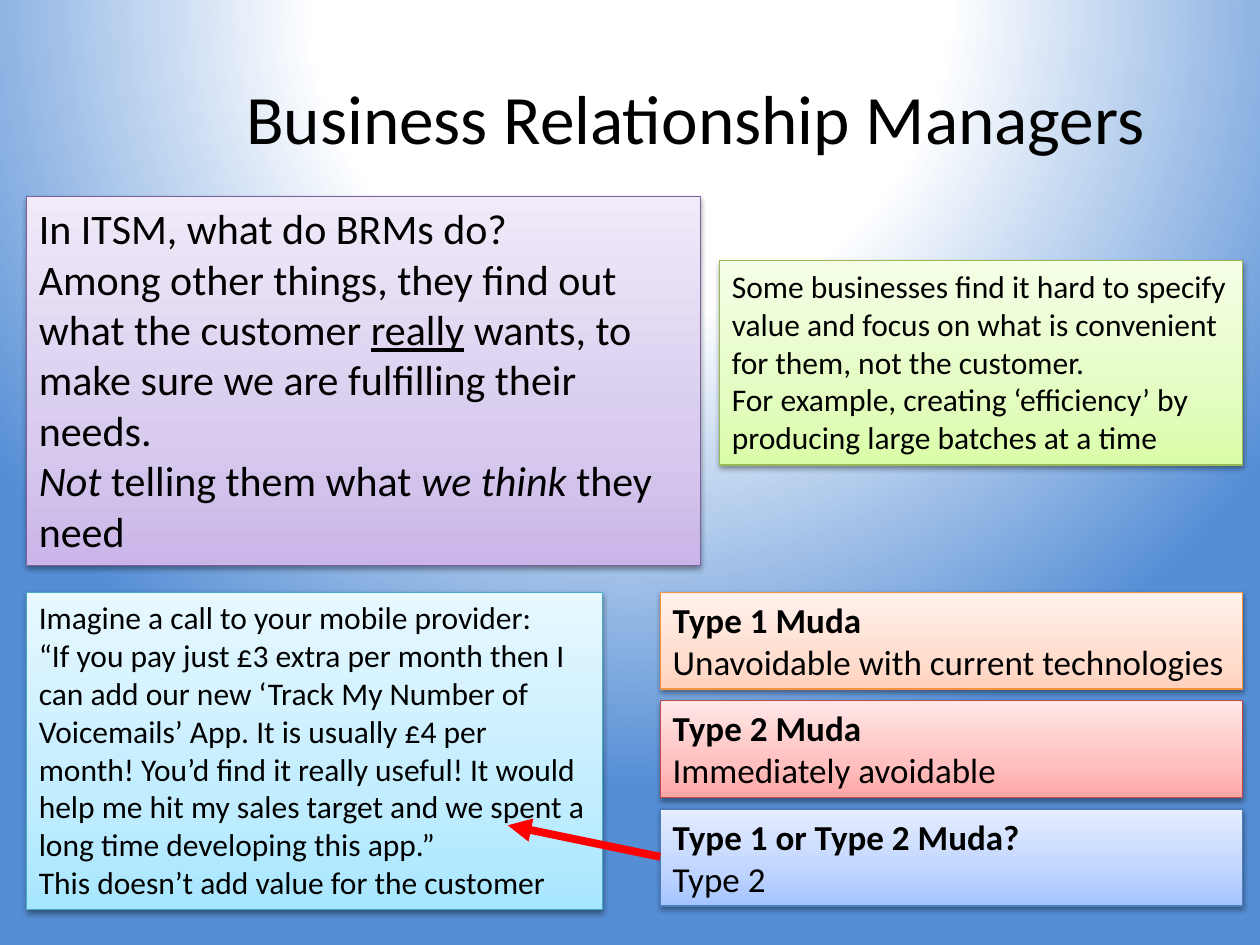
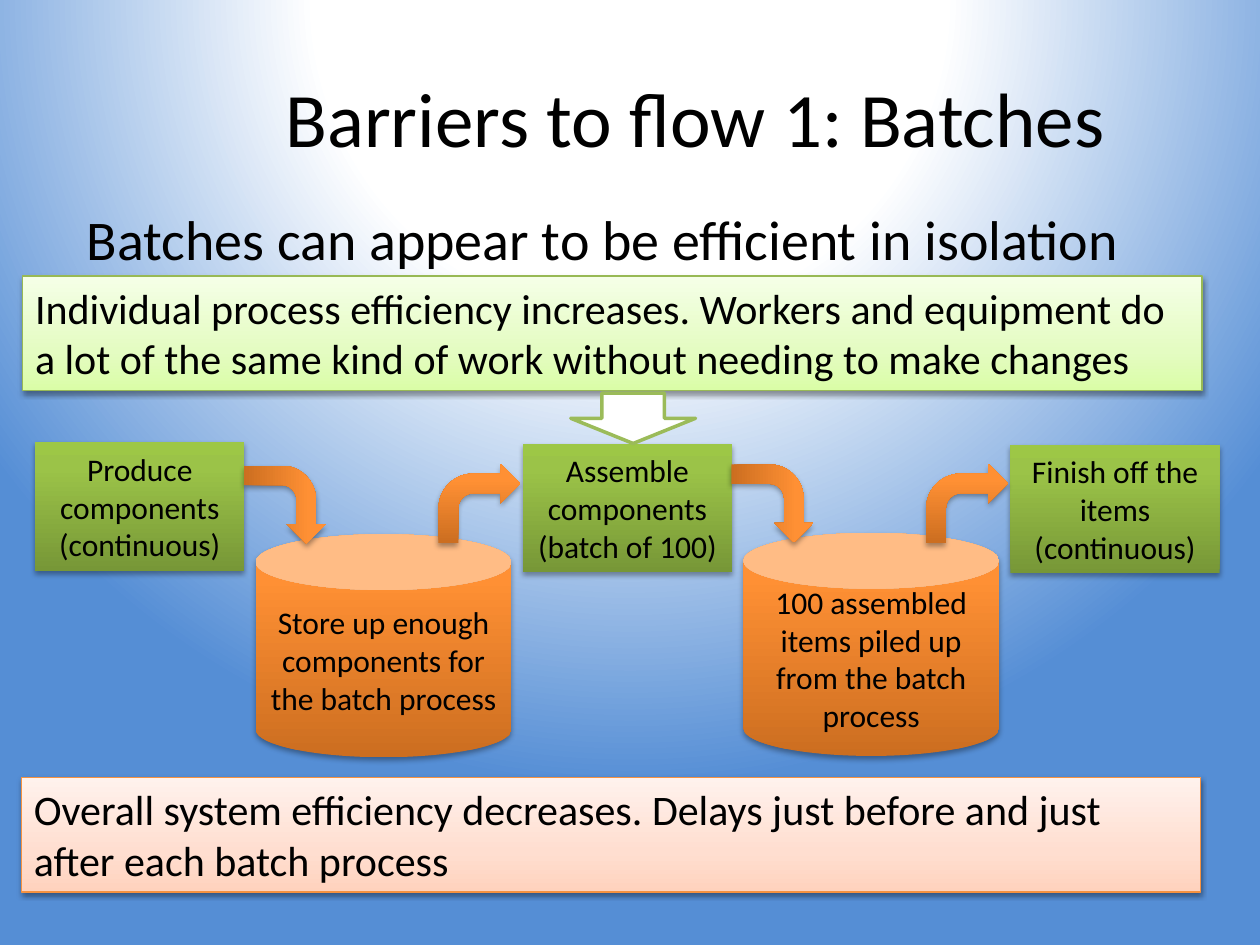
from collections import namedtuple

from lxml import etree
from pptx import Presentation
from pptx.dml.color import RGBColor
from pptx.enum.shapes import MSO_CONNECTOR, MSO_SHAPE
from pptx.enum.text import MSO_ANCHOR, MSO_AUTO_SIZE, PP_ALIGN
from pptx.oxml.ns import qn
from pptx.util import Inches, Pt

RECTANGLE = MSO_SHAPE.RECTANGLE
CAN = MSO_SHAPE.CAN
BENT_ARROW = MSO_SHAPE.BENT_ARROW
DOWN_ARROW = MSO_SHAPE.DOWN_ARROW
STRAIGHT = MSO_CONNECTOR.STRAIGHT
LEFT, CENTER = PP_ALIGN.LEFT, PP_ALIGN.CENTER
TOP, MIDDLE = MSO_ANCHOR.TOP, MSO_ANCHOR.MIDDLE
GROW = MSO_AUTO_SIZE.SHAPE_TO_FIT_TEXT

FONT = "Calibri"
SLIDE_W, SLIDE_H = Inches(10), Inches(7.5)
GRID_COLUMNS = 100
CELL = SLIDE_W / GRID_COLUMNS
TITLE_LAYOUT, LIST_LAYOUT = 5, 1
TITLE_BOX = (15.4, 3, 79.6, 12.5)

BLACK = RGBColor(0x00, 0x00, 0x00)
WHITE = RGBColor(0xFF, 0xFF, 0xFF)
SKY = RGBColor(0x55, 0x8E, 0xD5)
RED = RGBColor(0xFF, 0x00, 0x00)
LEAF = RGBColor(0x9B, 0xBB, 0x59)

Finish = namedtuple("Finish", "colors middle_stop outline shadow")
PANEL_SHADOW = (38, 3.15, 1.57)
SOLID_SHADOW = (35, 3.15, 1.81)


def panel_finish(low, middle, high, outline):
    return Finish((low, middle, high), 35, outline, PANEL_SHADOW)


def solid_finish(low, middle, high):
    return Finish((low, middle, high), 80, None, SOLID_SHADOW)


PURPLE_PANEL = panel_finish(RGBColor(0xC9, 0xB5, 0xE8), RGBColor(0xD8, 0xCB, 0xEE),
                            RGBColor(0xF0, 0xEA, 0xF9), RGBColor(0x7D, 0x60, 0xA0))
AQUA_PANEL = panel_finish(RGBColor(0xA7, 0xE6, 0xFF), RGBColor(0xC1, 0xED, 0xFF),
                          RGBColor(0xE7, 0xF8, 0xFF), RGBColor(0x46, 0xAA, 0xC5))
ORANGE_PANEL = panel_finish(RGBColor(0xFF, 0xD2, 0xBD), RGBColor(0xFF, 0xDE, 0xD0),
                            RGBColor(0xFF, 0xF2, 0xED), RGBColor(0xF6, 0x92, 0x40))
RED_PANEL = panel_finish(RGBColor(0xFF, 0xA6, 0xA5), RGBColor(0xFF, 0xC0, 0xBF),
                         RGBColor(0xFF, 0xE7, 0xE7), RGBColor(0xBF, 0x4C, 0x48))
BLUE_PANEL = panel_finish(RGBColor(0xA4, 0xC4, 0xFF), RGBColor(0xBF, 0xD4, 0xFF),
                          RGBColor(0xE6, 0xEE, 0xFF), RGBColor(0x4B, 0x7E, 0xBC))
GREEN_PANEL = panel_finish(RGBColor(0xDA, 0xFD, 0xA7), RGBColor(0xE4, 0xFC, 0xC2),
                           RGBColor(0xF5, 0xFF, 0xE7), RGBColor(0x98, 0xB9, 0x55))
GREEN_SOLID = solid_finish(RGBColor(0x77, 0x97, 0x37), RGBColor(0x9B, 0xC3, 0x48),
                           RGBColor(0x9D, 0xC7, 0x46))
ORANGE_SOLID = solid_finish(RGBColor(0xCC, 0x6E, 0x20), RGBColor(0xFF, 0x90, 0x34),
                            RGBColor(0xFF, 0x91, 0x36))


def cells(*lengths):
    return [round(length * CELL) for length in lengths]


def add_node(parent, tag, **attributes):
    values = {name: str(value) for name, value in attributes.items()}
    return etree.SubElement(parent, qn(tag), values)


def add_color(parent, color, opacity=100):
    node = add_node(parent, "a:srgbClr", val=color)
    if opacity < 100:
        add_node(node, "a:alpha", val=opacity * 1000)


def set_stops(gradient, stops):
    for child in list(gradient):
        gradient.remove(child)
    stop_list = add_node(gradient, "a:gsLst")
    for position, color, opacity in stops:
        add_color(add_node(stop_list, "a:gs", pos=position * 1000), color, opacity)


def style_master(master):
    master.background.fill.gradient()
    glow = master.element.find(".//" + qn("p:bgPr")).find(qn("a:gradFill"))
    set_stops(glow, [(0, WHITE, 100), (40, WHITE, 57), (100, SKY, 56)])
    circle = add_node(glow, "a:path", path="circle")
    add_node(circle, "a:fillToRect", l=50000, t=-80000, r=50000, b=180000)
    place(master.placeholders[0], TITLE_BOX)


def place(shape, box):
    shape.left, shape.top, shape.width, shape.height = cells(*box)


def write(frame, paragraphs, size, align=LEFT, anchor=None, first_bold=False):
    frame.word_wrap = True
    if anchor is not None:
        frame.vertical_anchor = anchor
    for index, content in enumerate(paragraphs):
        paragraph = frame.paragraphs[0] if index == 0 else frame.add_paragraph()
        paragraph.alignment = align
        pieces = [(content, "")] if isinstance(content, str) else content
        for text, emphasis in pieces:
            run = paragraph.add_run()
            run.text = text
            font = run.font
            font.name, font.size, font.color.rgb = FONT, Pt(size), BLACK
            font.bold = first_bold and index == 0
            font.italic = emphasis == "italic"
            font.underline = emphasis == "underline"


def add_finished(slide, kind, box, finish):
    shape = slide.shapes.add_shape(kind, *cells(*box))
    shape.fill.gradient()
    gradient = shape.element.spPr.find(qn("a:gradFill"))
    positions = (0, finish.middle_stop, 100)
    set_stops(gradient, [(p, c, 100) for p, c in zip(positions, finish.colors)])
    add_node(gradient, "a:lin", ang=270 * 60000, scaled=0)
    if finish.outline:
        shape.line.color.rgb = finish.outline
        shape.line.width = Pt(0.75)
    else:
        shape.line.fill.background()
    shape.shadow.inherit = False
    opacity, blur, distance = finish.shadow
    effects = shape.element.spPr.find(qn("a:effectLst"))
    shadow = add_node(effects, "a:outerShdw", blurRad=Pt(blur), dist=Pt(distance),
                      dir=90 * 60000, rotWithShape=0)
    add_color(shadow, BLACK, opacity)
    return shape


def add_panel(slide, box, finish, paragraphs, size, first_bold=False):
    panel = add_finished(slide, RECTANGLE, box, finish)
    write(panel.text_frame, paragraphs, size, anchor=TOP, first_bold=first_bold)
    panel.text_frame.auto_size = GROW


def add_step(slide, kind, box, finish, label):
    step = add_finished(slide, kind, box, finish)
    write(step.text_frame, [label], 18, CENTER, MIDDLE)


def add_pointer(slide, start, end):
    pointer = slide.shapes.add_connector(STRAIGHT, *cells(*start, *end))
    pointer.line.color.rgb = RED
    pointer.line.width = Pt(4.5)
    properties = pointer.element.spPr
    add_node(properties.find(qn("a:ln")), "a:tailEnd", type="triangle")
    add_node(properties, "a:effectLst")


def add_outcome_arrow(slide, box):
    arrow = slide.shapes.add_shape(DOWN_ARROW, *cells(*box))
    arrow.fill.solid()
    arrow.fill.fore_color.rgb = WHITE
    arrow.line.color.rgb = LEAF
    arrow.line.width = Pt(2)
    arrow.shadow.inherit = False


def add_titled_slide(deck, layout, title, size):
    slide = deck.slides.add_slide(deck.slide_layouts[layout])
    write(slide.shapes.title.text_frame, [title], size, CENTER)
    return slide


def build_managers(deck):
    slide = add_titled_slide(deck, TITLE_LAYOUT, "Business Relationship Managers", 39.6)
    add_panel(slide, (2.1, 15.6, 53.5, 29.3), PURPLE_PANEL, [
        "In ITSM, what do BRMs do?",
        [("Among other things, they find out what the customer ", ""),
         ("really", "underline"),
         (" wants, to make sure we are fulfilling their needs.", "")],
        [("Not", "italic"), (" telling them what ", ""),
         ("we think", "italic"), (" they need", "")],
    ], 24)
    add_panel(slide, (2.1, 47, 45.7, 25.2), AQUA_PANEL, [
        "Imagine a call to your mobile provider:",
        "“If you pay just £3 extra per month then I can add our new ‘Track My "
        "Number of Voicemails’ App. It is usually £4 per month! You’d find it "
        "really useful! It would help me hit my sales target and we spent a long "
        "time developing this app.”",
        "This doesn’t add value for the customer",
    ], 18)
    muda_types = [
        (ORANGE_PANEL, "Type 1 Muda", "Unavoidable with current technologies"),
        (RED_PANEL, "Type 2 Muda", "Immediately avoidable"),
        (BLUE_PANEL, "Type 1 or Type 2 Muda?", "Type 2"),
    ]
    for row, (finish, heading, meaning) in enumerate(muda_types):
        add_panel(slide, (52.4, 47 + 8.6 * row, 46.2, 7.7), finish,
                  [heading, meaning], 20, first_bold=True)
    add_pointer(slide, (52.4, 68), (40.3, 65.5))
    add_panel(slide, (57.1, 20.7, 41.5, 16.2), GREEN_PANEL, [
        "Some businesses find it hard to specify value and focus on what is "
        "convenient for them, not the customer.",
        "For example, creating ‘efficiency’ by producing large batches at a time",
    ], 18)


def build_batches(deck):
    slide = add_titled_slide(deck, LIST_LAYOUT, "Barriers to flow 1: Batches", 44)
    claim = slide.placeholders[1]
    place(claim, (5.9, 15.7, 90, 49.5))
    write(claim.text_frame, ["Batches can appear to be efficient in isolation"], 32)
    properties = claim.text_frame.paragraphs[0]._p.get_or_add_pPr()
    properties.set("marL", "0")
    properties.set("indent", "0")
    add_node(properties, "a:buNone")

    pitch = 38.7
    processes = ["Produce components (continuous)", "Assemble components (batch of 100)",
                 "Finish off the items (continuous)"]
    stores = ["Store up enough components for the batch process",
              "100 assembled items piled up from the batch process"]
    for stage, label in enumerate(processes):
        add_step(slide, RECTANGLE, (2.8 + pitch * stage, 35.1 + 0.1 * stage, 16.6, 10.2),
                 GREEN_SOLID, label)
    for stage, label in enumerate(stores):
        shift, lift = pitch * stage, 0.1 * stage
        add_step(slide, CAN, (20.3 + shift, 42.4 - lift, 20.3, 17.7), ORANGE_SOLID, label)
        into_store = add_finished(slide, BENT_ARROW,
                                  (19.5 + shift, 36.8 - lift, 6.2, 6.5), ORANGE_SOLID)
        into_store.rotation = 90
        add_finished(slide, BENT_ARROW, (34.8 + shift, 36.8, 6.5, 6.3), ORANGE_SOLID)

    add_panel(slide, (1.8, 21.9, 93.6, 9.1), GREEN_PANEL, [
        "Individual process efficiency increases. Workers and equipment do a lot of "
        "the same kind of work without needing to make changes"], 24)
    add_panel(slide, (1.7, 61.7, 93.6, 9.1), ORANGE_PANEL, [
        "Overall system efficiency decreases. Delays just before and just after each "
        "batch process"], 24)
    add_outcome_arrow(slide, (45.3, 31.2, 9.9, 4))


def main():
    deck = Presentation()
    deck.slide_width, deck.slide_height = SLIDE_W, SLIDE_H
    style_master(deck.slide_master)
    build_managers(deck)
    build_batches(deck)
    deck.save("out.pptx")


if __name__ == "__main__":
    main()
